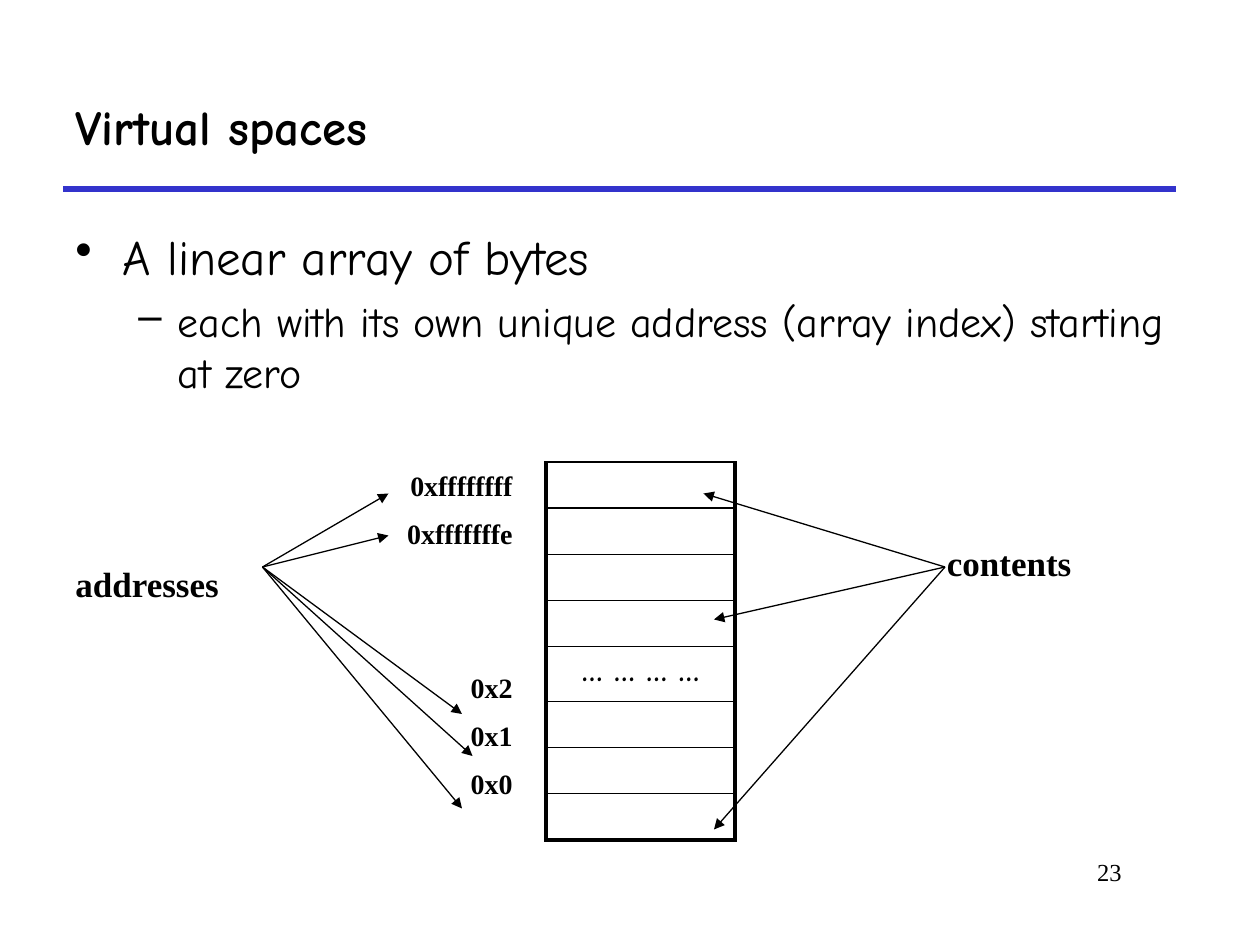
import pptx
import pptx.util
import pptx.dml.color
import pptx.enum.shapes
import pptx.enum.text
import pptx.oxml
import pptx.oxml.ns
from lxml import etree

Pt = pptx.util.Pt
ALIGN = pptx.enum.text.PP_ALIGN
ANCHOR = pptx.enum.text.MSO_ANCHOR
BLACK = pptx.dml.color.RGBColor(0x00, 0x00, 0x00)
BLUE = pptx.dml.color.RGBColor(0x33, 0x33, 0xCC)
SANS, SERIF = "Comic Neue", "Times New Roman"

# Content
TITLE = "Virtual spaces"
PAGE_NUMBER = "23"
BULLETS = [  # text, level, size, bullet, left margin, hanging indent
    ("A linear array of bytes", 0, 28, "•", 27, 27),
    ("each with its own unique address (array index) starting at zero",
     1, 24, "–", 58.5, 22.5),
]
MEMORY = ["", "", "", "", "… … … …", "", "", ""]
ADDRESSES = [  # top of the group, labels
    (264, ["0xffffffff", "0xfffffffe"]),
    (379.4, ["0x2", "0x1", "0x0"]),
]
CAPTIONS = [  # text, left, top, width
    ("addresses", 36, 318, 114),
    ("contents", 534, 306, 138),
]
ARROWS = {  # start: ends
    (150, 324): [(222, 282), (222, 306), (264, 408), (270, 432), (264, 462)],
    (540, 324): [(402, 282), (408, 354), (408, 474)],
}

# Memory table measures
TABLE_LEFT, TABLE_TOP, TABLE_WIDTH = 312, 264, 108
ROW_HEIGHT, DOTS_HEIGHT = 26.4, 31.2


def sub(parent, tag, **attrs):
    el = etree.SubElement(parent, pptx.oxml.ns.qn(tag))
    for name, value in attrs.items():
        el.set(name, str(value))
    return el


def write(p, text, font=SERIF, size=20, bold=False, align=ALIGN.LEFT, before=0):
    p.alignment = align
    p.space_before = Pt(before)
    r = p.add_run()
    r.text = text
    r.font.name = font
    r.font.size = Pt(size)
    r.font.bold = bold
    r.font.color.rgb = BLACK


def add_box(s, left, top, width, height, anchor=ANCHOR.TOP):
    tf = s.shapes.add_textbox(Pt(left), Pt(top), Pt(width), Pt(height)).text_frame
    tf.word_wrap = True
    tf.vertical_anchor = anchor
    return tf


def paragraph(tf, i):
    return tf.paragraphs[0] if i == 0 else tf.add_paragraph()


def add_line(s, start, end, color=BLACK, width=0.75, arrow=False):
    sp = s.shapes.add_connector(pptx.enum.shapes.MSO_CONNECTOR.STRAIGHT,
                                *map(Pt, start + end))
    sp.line.color.rgb = color
    sp.line.width = Pt(width)
    if arrow:
        sub(sp.line._get_or_add_ln(), "a:tailEnd", type="triangle")
    sub(sp._element.spPr, "a:effectLst")


def set_borders(cell, **widths):
    tcPr = cell._tc.get_or_add_tcPr()
    for i, side in enumerate("LRTB"):
        ln = etree.Element(pptx.oxml.ns.qn("a:ln" + side), w=str(Pt(widths[side])))
        sub(sub(ln, "a:solidFill"), "a:srgbClr", val=BLACK)
        tcPr.insert(i, ln)


def add_memory(s):
    heights = [DOTS_HEIGHT if text else ROW_HEIGHT for text in MEMORY]
    table = s.shapes.add_table(len(MEMORY), 1, Pt(TABLE_LEFT), Pt(TABLE_TOP),
                               Pt(TABLE_WIDTH), Pt(sum(heights))).table
    table.first_row = table.horz_banding = False
    for i, (text, height) in enumerate(zip(MEMORY, heights)):
        table.rows[i].height = Pt(height)
        cell = table.cell(i, 0)
        cell.fill.background()
        if text:
            write(cell.text_frame.paragraphs[0], text, font=SANS, size=18,
                  bold=True, align=ALIGN.CENTER)
        else:
            cell.margin_top = cell.margin_bottom = 0
        last = i == len(MEMORY) - 1
        set_borders(cell, L=2.25, R=2.25, T=1, B=2.25 if last else 1)


def main():
    prs = pptx.Presentation()
    prs.slide_width, prs.slide_height = Pt(720), Pt(540)
    s = prs.slides.add_slide(prs.slide_layouts[6])

    # Title, rule and page number
    add_line(s, (36, 108), (672, 108), color=BLUE, width=3)
    tf = add_box(s, 36, 36, 636, 72, anchor=ANCHOR.MIDDLE)
    write(tf.paragraphs[0], TITLE, font=SANS, size=28, bold=True)
    tf = add_box(s, 546, 486, 102, 36)
    write(tf.paragraphs[0], PAGE_NUMBER, size=14, align=ALIGN.RIGHT)

    # Bullets
    tf = add_box(s, 36, 126, 654, 110)
    for i, (text, level, size, bullet, margin, hanging) in enumerate(BULLETS):
        p = paragraph(tf, i)
        p.level = level
        pPr = p._p.get_or_add_pPr()
        pPr.set("marL", str(Pt(margin)))
        pPr.set("indent", str(-Pt(hanging)))
        sub(pPr, "a:buChar", char=bullet)
        write(p, text, font=SANS, size=size, before=5.8 if i else 0)

    # Memory cells with their addresses
    add_memory(s)
    for top, labels in ADDRESSES:
        tf = add_box(s, 222, top, 78, 27 * len(labels))
        for i, label in enumerate(labels):
            write(paragraph(tf, i), label, size=16, bold=True,
                  align=ALIGN.RIGHT, before=8.5 if i else 0)

    # Captions and their arrows
    for text, left, top, width in CAPTIONS:
        write(add_box(s, left, top, width, 36).paragraphs[0], text, bold=True)
    for start, ends in ARROWS.items():
        for end in ends:
            add_line(s, start, end, arrow=True)

    prs.save("out.pptx")


if __name__ == "__main__":
    main()
